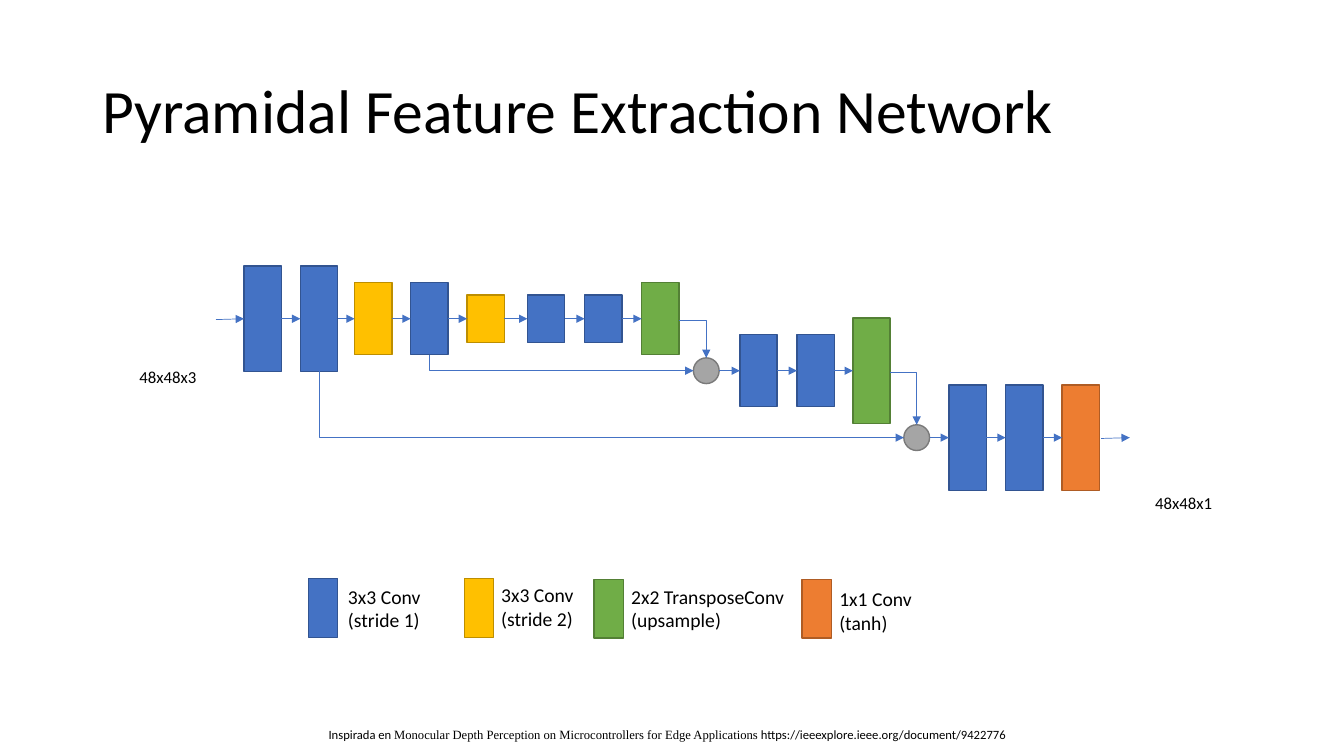
from dataclasses import dataclass

from lxml.etree import SubElement
from pptx import Presentation
from pptx.dml.color import RGBColor as Rgb
from pptx.enum.shapes import MSO_CONNECTOR as Link, MSO_SHAPE as Shape
from pptx.enum.text import MSO_ANCHOR as Anchor, PP_ALIGN as Align
from pptx.oxml.ns import qn
from pptx.util import Pt


@dataclass
class Theme:
    font: str = "Calibri"
    serif: str = "Times New Roman"
    ink: str = "000000"
    wire: str = "4472C4"
    # Each kind has a fill and an edge colour
    conv: tuple = ("4472C4", "325491")
    down: tuple = ("FFC000", "BD8E00")
    up: tuple = ("70AD47", "538035")
    head: tuple = ("ED7D31", "AF5C24")
    node: tuple = ("A5A5A5", "7A7A7A")
    title: int = 44
    label: int = 14
    size: int = 12
    note: int = 9


class Board:
    def __init__(self, slide, theme):
        self.slide, self.theme = slide, theme

    def text(self, x, y, w, h, lines, size, align=Align.LEFT,
             anchor=Anchor.TOP, space=None):
        """Each line is a list of (words, font) pairs."""
        box = self.slide.shapes.add_textbox(Pt(x), Pt(y), Pt(w), Pt(h))
        frame = box.text_frame
        frame.word_wrap = True
        frame.vertical_anchor = anchor
        for i, line in enumerate(lines):
            para = frame.add_paragraph() if i else frame.paragraphs[0]
            para.alignment = align
            para.line_spacing = space
            para.font.size = Pt(size)
            para.font.name = self.theme.font
            para.font.color.rgb = Rgb.from_string(self.theme.ink)
            for words, font in line:
                run = para.add_run()
                run.text = words
                if font != self.theme.font:
                    run.font.name = font

    def plain(self, x, y, w, h, words, size, **style):
        lines = [[(line, self.theme.font)] for line in words.split("\n")]
        self.text(x, y, w, h, lines, size, **style)

    def block(self, x, y, w, h, tint, form=Shape.RECTANGLE):
        item = self.slide.shapes.add_shape(form, Pt(x), Pt(y), Pt(w), Pt(h))
        item.shadow.inherit = False
        item.fill.solid()
        item.fill.fore_color.rgb = Rgb.from_string(tint[0])
        item.line.color.rgb = Rgb.from_string(tint[1])
        item.line.width = Pt(1)

    def arrow(self, x1, y1, x2, y2, kind=Link.STRAIGHT):
        wire = self.slide.shapes.add_connector(
            kind, Pt(x1), Pt(y1), Pt(x2), Pt(y2))
        wire.line.color.rgb = Rgb.from_string(self.theme.wire)
        wire.line.width = Pt(0.5)
        prop = wire._element.spPr
        SubElement(prop.find(qn("a:ln")), qn("a:tailEnd"), type="triangle")
        SubElement(prop, qn("a:effectLst"))
        return wire

    def bend(self, x1, y1, x2, y2, fall=False):
        """One-corner arrow: across then down, or down then across if fall."""
        w, h = x2 - x1, y2 - y1
        if fall:
            # The frame is turned a quarter about its centre
            x1, y1 = x1 + (w - h) / 2, y1 + (h - w) / 2
            w, h = h, w
        wire = self.arrow(x1, y1, x1 + w, y1 + h, Link.ELBOW)
        prop = wire._element.spPr
        prop.find(qn("a:prstGeom")).set("prst", "bentConnector2")
        if fall:
            turn = prop.find(qn("a:xfrm"))
            turn.set("rot", "16200000")
            turn.set("flipH", "1")


def main():
    deck = Presentation()
    deck.slide_width, deck.slide_height = Pt(960), Pt(540)
    theme = Theme()
    board = Board(deck.slides.add_slide(deck.slide_layouts[6]), theme)
    conv, down, up = theme.conv, theme.down, theme.up

    # Title
    board.plain(66, 28.75, 828, 104.4, "Pyramidal Feature Extraction Network",
                theme.title, anchor=Anchor.MIDDLE, space=0.9)

    # Three rows of layers: centre line, then left, height and kind
    wide, tall, mid, low = 26.7, 75.2, 51.4, 34
    top, core, base = 227.7, 264.8, 312.6
    rows = [
        (top, [(174.3, tall, conv), (214.5, tall, conv), (253.4, mid, down),
               (293.4, mid, conv), (333.6, low, down), (376.7, low, conv),
               (417.6, low, conv), (458.4, mid, up)]),
        (core, [(528.5, mid, conv), (569.3, mid, conv), (609.2, tall, up)]),
        (base, [(677.8, tall, conv), (718.3, tall, conv),
                (758.7, tall, theme.head)]),
    ]
    for y, row in rows:
        for x, h, tint in row:
            board.block(x, y - h / 2, wide, h, tint)
        for (left, *_), (right, *_) in zip(row, row[1:]):
            board.arrow(left + wide, y, right, y)

    # Merge nodes, each with an arrow to the next row
    dot = 18.4
    for x, y, goal in [(495.3, core, 528.5), (645.6, base, 677.8)]:
        board.block(x, y - dot / 2, dot, dot, theme.node, Shape.OVAL)
        board.arrow(x + dot, y, goal, y)

    # Skip paths and drops into the nodes
    board.bend(306.6, top + mid / 2, 495.3, core, fall=True)
    board.bend(227.8, top + tall / 2, 645.6, base, fall=True)
    board.bend(485.1, 228.6, 504.5, core - dot / 2)
    board.bend(635.9, 266, 654.8, base - dot / 2)

    # Input and output
    board.arrow(154.3, 228.3, 174.3, top)
    board.arrow(786.5, 313.2, 807, base)
    for x, y, words in [(88.6, 258.5, "48x48x3"), (814.2, 348.1, "48x48x1")]:
        board.plain(x, y, 62.6, 21.8, words, theme.size, align=Align.CENTER)

    # Legend
    keys = [
        (220.3, 413.2, conv, 241.5, 414, 88, "3x3 Conv\n(stride 1)"),
        (331.6, 413.2, down, 350.9, 413, 88, "3x3 Conv\n(stride 2)"),
        (424.2, 413.8, up, 443.8, 414, 158, "2x2 TransposeConv\n(upsample)"),
        (572.8, 413.8, theme.head, 592.4, 416, 88, "1x1 Conv\n(tanh)"),
    ]
    for x, y, tint, left, head, w, words in keys:
        board.block(x, y, 21, 42, tint)
        board.plain(left, head, w, 41.2, words, theme.label)

    # Source note
    board.text(227.6, 515.5, 504.7, 18.2, [[
        ("Inspirada en ", theme.font),
        ("Monocular Depth Perception on Microcontrollers for Edge "
         "Applications ", theme.serif),
        ("https://ieeexplore.ieee.org/document/9422776", theme.font),
    ]], theme.note)

    deck.save("out.pptx")


if __name__ == "__main__":
    main()
